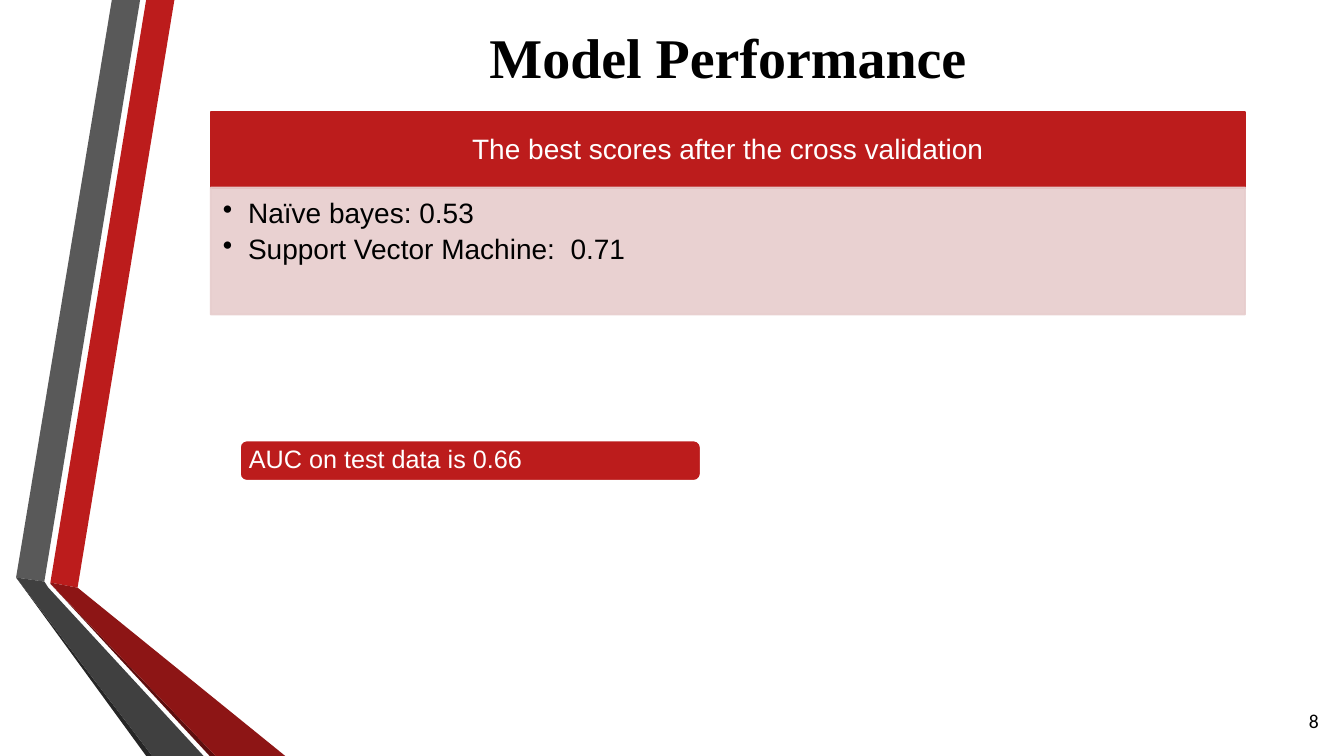
import dataclasses
import typing

import lxml.etree
import pptx
import pptx.dml.color
import pptx.enum.shapes
import pptx.enum.text
import pptx.oxml.ns
import pptx.util

Inches = pptx.util.Inches
Pt = pptx.util.Pt
Align = pptx.enum.text.PP_ALIGN
Anchor = pptx.enum.text.MSO_ANCHOR
Preset = pptx.enum.shapes.MSO_SHAPE
Point = tuple[float, float]
Bounds = tuple[float, float, float, float]

COLORS = {
    "red": "BC1C1C",
    "dark red": "8D1515",
    "red edge": "5E0E0E",
    "gray": "595959",
    "dark gray": "404040",
    "gray edge": "262626",
    "pink": "E7CDCD",
    "white": "FFFFFF",
    "black": "000000",
}


@dataclasses.dataclass(frozen=True)
class Ribbon:
    color: str
    points: tuple[Point, ...]


@dataclasses.dataclass(frozen=True)
class Panel:
    preset: typing.Any
    bounds: Bounds
    fill: str
    line: str
    lines: tuple[str, ...]
    text_format: dict[str, typing.Any]
    opacity: int = 100


RIBBONS = (
    Ribbon("red", ((0.5, 5.78), (0.77, 5.83), (1.73, 0), (1.45, 0))),
    Ribbon("gray", ((1.39, 0), (1.11, 0), (0.16, 5.73), (0.44, 5.77))),
    Ribbon("gray edge", ((0.16, 5.73), (1.45, 7.5), (1.51, 7.5))),
    Ribbon("red edge", ((0.5, 5.79), (2.08, 7.5), (2.14, 7.5))),
    Ribbon("dark red", ((0.5, 5.78), (0.5, 5.79), (2.14, 7.5), (2.83, 7.5), (0.77, 5.83))),
    Ribbon("dark gray", ((2.02, 7.5), (0.48, 5.83), (0.44, 5.77), (0.16, 5.73), (1.51, 7.5))),
)

PANELS = (
    Panel(Preset.RECTANGLE, (2.09, 1.11, 10.26, 0.76), "red", "red",
          ("The best scores after the cross validation",),
          {"size": 20, "color": "white", "align": Align.CENTER,
           "insets": (0.16, 0.09, 0.16, 0.09), "line_spacing": 0.9}),
    Panel(Preset.RECTANGLE, (2.09, 1.86, 10.26, 1.26), "pink", "pink",
          ("Naïve bayes: 0.53", "Support Vector Machine:  0.71"),
          {"size": 20, "anchor": Anchor.TOP, "insets": (0.12, 0.12, 0.16, 0.17),
           "line_spacing": 0.9, "space_after": 4, "bullet": "•"}, opacity=90),
    Panel(Preset.ROUNDED_RECTANGLE, (2.38, 4.37, 4.57, 0.4), "red", "white",
          ("AUC on test data is 0.66",),
          {"size": 18, "color": "white", "insets": (0.07, 0.07, 0.07, 0.07),
           "line_spacing": 0.9}),
)


def rgb(name: str) -> pptx.dml.color.RGBColor:
    return pptx.dml.color.RGBColor.from_string(COLORS[name])


def add_bullet(para: typing.Any, symbol: str) -> None:
    properties = para._p.get_or_add_pPr()
    properties.set("marL", str(Inches(0.25)))
    properties.set("indent", str(-Inches(0.25)))
    bullet = lxml.etree.SubElement(properties, pptx.oxml.ns.qn("a:buChar"))
    bullet.set("char", symbol)


def write_text(
    box: typing.Any,
    lines: tuple[str, ...],
    *,
    size: float,
    font: str = "Arial",
    color: str = "black",
    bold: bool = False,
    align: typing.Any = Align.LEFT,
    anchor: typing.Any = Anchor.MIDDLE,
    insets: Bounds = (0.1, 0.05, 0.1, 0.05),
    line_spacing: float = 1.0,
    space_after: float = 0,
    bullet: str = "",
) -> None:
    frame = box.text_frame
    frame.word_wrap = True
    frame.vertical_anchor = anchor
    frame.margin_left, frame.margin_top, frame.margin_right, frame.margin_bottom = map(Inches, insets)
    for index, line in enumerate(lines):
        para = frame.add_paragraph() if index else frame.paragraphs[0]
        para.alignment = align
        para.line_spacing = line_spacing
        para.space_after = Pt(space_after)
        if bullet:
            add_bullet(para, bullet)
        span = para.add_run()
        span.text = line
        span.font.name = font
        span.font.size = Pt(size)
        span.font.bold = bold
        span.font.color.rgb = rgb(color)


def set_opacity(shape: typing.Any, percent: int) -> None:
    for color in shape._element.spPr.iter(pptx.oxml.ns.qn("a:srgbClr")):
        alpha = lxml.etree.SubElement(color, pptx.oxml.ns.qn("a:alpha"))
        alpha.set("val", str(percent * 1000))


def draw_ribbon(page: typing.Any, ribbon: Ribbon) -> None:
    points = [(Inches(x), Inches(y)) for x, y in ribbon.points]
    builder = page.shapes.build_freeform(*points[0])
    builder.add_line_segments(points[1:], close=True)
    shape = builder.convert_to_shape()
    shape.shadow.inherit = False
    shape.fill.solid()
    shape.fill.fore_color.rgb = rgb(ribbon.color)
    shape.line.fill.background()


def draw_panel(page: typing.Any, panel: Panel) -> None:
    shape = page.shapes.add_shape(panel.preset, *map(Inches, panel.bounds))
    shape.shadow.inherit = False
    shape.fill.solid()
    shape.fill.fore_color.rgb = rgb(panel.fill)
    shape.line.color.rgb = rgb(panel.line)
    shape.line.width = Pt(1.25)
    if panel.opacity < 100:
        set_opacity(shape, panel.opacity)
    write_text(shape, panel.lines, **panel.text_format)


def main() -> None:
    deck = pptx.Presentation()
    deck.slide_width = Inches(13.33)
    deck.slide_height = Inches(7.5)
    page = deck.slides.add_slide(deck.slide_layouts[6])
    for ribbon in RIBBONS:
        draw_ribbon(page, ribbon)
    title = page.shapes.add_textbox(*map(Inches, (1.74, 0.02, 10.96, 1.08)))
    write_text(title, ("Model Performance",), size=40, font="Times New Roman",
               bold=True, align=Align.CENTER)
    page_number = page.shapes.add_textbox(*map(Inches, (12.58, 6.95, 0.6, 0.4)))
    write_text(page_number, ("8",), size=14, font="Calibri", align=Align.RIGHT)
    for panel in PANELS:
        draw_panel(page, panel)
    deck.save("out.pptx")


if __name__ == "__main__":
    main()
